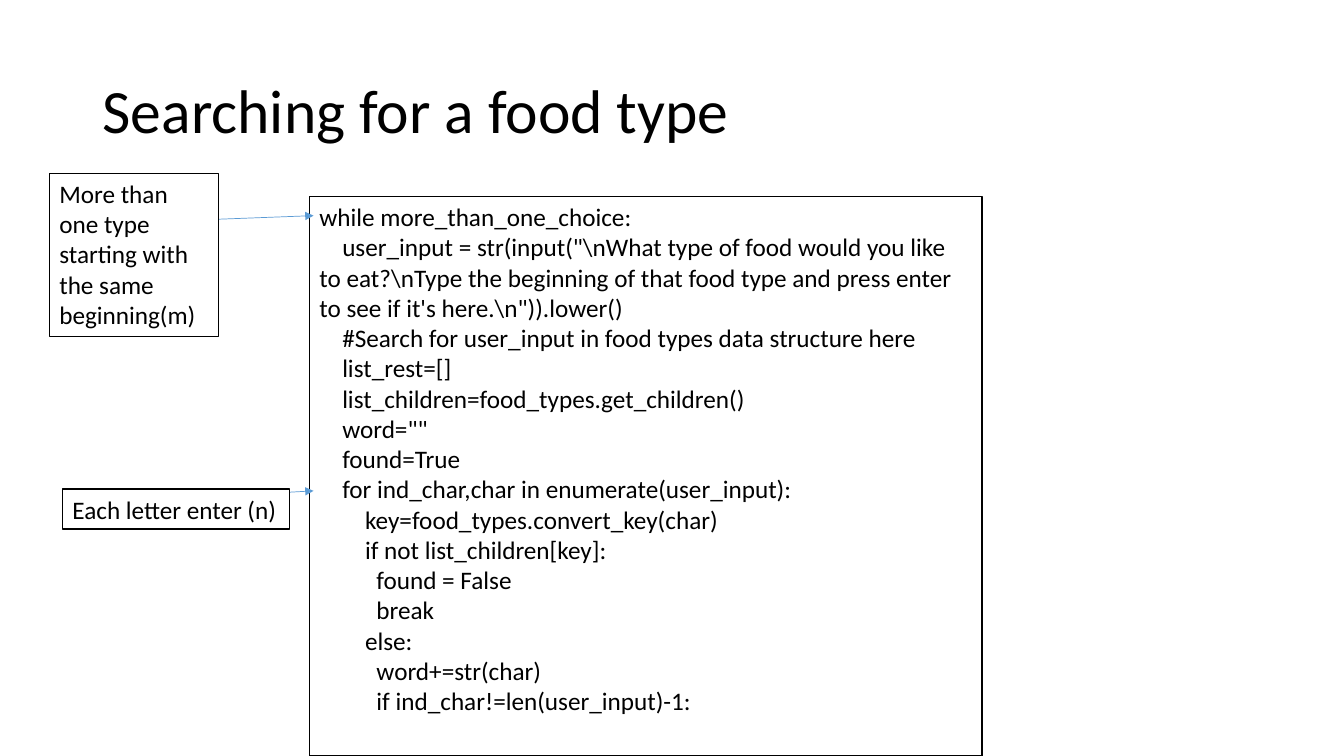
from pptx import Presentation
from pptx.dml.color import RGBColor
from pptx.enum.shapes import MSO_CONNECTOR as Connector, MSO_SHAPE as Shape
from pptx.enum.text import MSO_ANCHOR as Anchor, PP_ALIGN as Align
from pptx.oxml.ns import qn
from pptx.util import Inches, Pt
from lxml.etree import SubElement

# Content: code lines are (indent in spaces, text)
TITLE = "Searching for a food type"
CODE = [
    (0, "while more_than_one_choice:"),
    (4, 'user_input = str(input("\\nWhat type of food would you like to eat?'
        "\\nType the beginning of that food type and press enter to see if "
        "it's here.\\n\")).lower()"),
    (4, "#Search for user_input in food types data structure here"),
    (4, "list_rest=[]"),
    (4, "list_children=food_types.get_children()"),
    (4, 'word=""'),
    (4, "found=True"),
    (4, "for ind_char,char in enumerate(user_input):"),
    (8, "key=food_types.convert_key(char)"),
    (8, "if not list_children[key]:"),
    (10, "found = False"),
    (10, "break"),
    (8, "else:"),
    (10, "word+=str(char)"),
    (10, "if ind_char!=len(user_input)-1:"),
]

# Places in percent of the slide: left, top, width, height
TITLE_AREA = (6.9, 5.33, 86.25, 19.33)
CODE_AREA = (23.03, 26, 50.03, 74)
ARROW_TIP_X = 23.33
NOTES = [
    {"text": "More than one type starting with the same beginning(m)",
     "area": (3.68, 22.93, 12.6, 21.6), "wrap": True,
     "start": (15.23, 29.07), "tip_y": 28.53},
    {"text": "Each letter enter (n)",
     "area": (4.65, 64.67, 16.88, 5.33), "wrap": False,
     "start": (19.28, 65.33), "tip_y": 64.93},
]

THEME = {
    "font": "Calibri", "title": Pt(44), "body": Pt(18), "space": Pt(4.07),
    "ink": RGBColor(0, 0, 0), "paper": RGBColor(255, 255, 255),
    "arrow": RGBColor(0x5B, 0x9B, 0xD5), "border": Pt(1), "thin": Pt(0.5),
}

deck = Presentation()
deck.slide_width, deck.slide_height = Inches(13.33), Inches(7.5)
slide = deck.slides.add_slide(deck.slide_layouts[6])


def place(*shares):
    """Turn alternating x and y percentages into slide lengths."""
    sides = (deck.slide_width, deck.slide_height) * 2
    return [round(side * share / 100) for side, share in zip(sides, shares)]


def write(paragraph, text, size):
    paragraph.text = text
    paragraph.alignment = Align.LEFT
    for run in paragraph.runs:
        run.font.name, run.font.size = THEME["font"], size
        run.font.color.rgb = THEME["ink"]


def add_panel(area, lines, wrap=True):
    panel = slide.shapes.add_shape(Shape.RECTANGLE, *place(*area))
    panel.shadow.inherit = False
    panel.fill.solid()
    panel.fill.fore_color.rgb = THEME["paper"]
    panel.line.color.rgb, panel.line.width = THEME["ink"], THEME["border"]
    frame = panel.text_frame
    frame.word_wrap, frame.vertical_anchor = wrap, Anchor.TOP
    frame.text = "\n".join(text for _, text in lines)
    for paragraph, (spaces, text) in zip(frame.paragraphs, lines):
        write(paragraph, text, THEME["body"])
        # First-line indent, so wrapped code returns to the margin
        properties = paragraph._p.get_or_add_pPr()
        properties.set("marL", "0")
        properties.set("indent", str(spaces * THEME["space"]))


def add_arrow(start, tip):
    arrow = slide.shapes.add_connector(Connector.STRAIGHT, *place(*start, *tip))
    arrow.line.color.rgb, arrow.line.width = THEME["arrow"], THEME["thin"]
    SubElement(arrow.line._get_or_add_ln(), qn("a:tailEnd"), type="triangle")
    SubElement(arrow._element.spPr, qn("a:effectLst"))


# Title
heading = slide.shapes.add_textbox(*place(*TITLE_AREA)).text_frame
heading.word_wrap, heading.vertical_anchor = True, Anchor.MIDDLE
write(heading.paragraphs[0], TITLE, THEME["title"])
heading.paragraphs[0].line_spacing = 0.9

# Code, then each note with its arrow behind it
add_panel(CODE_AREA, CODE)
for note in NOTES:
    add_arrow(note["start"], (ARROW_TIP_X, note["tip_y"]))
    add_panel(note["area"], [(0, note["text"])], note["wrap"])

deck.save("out.pptx")
